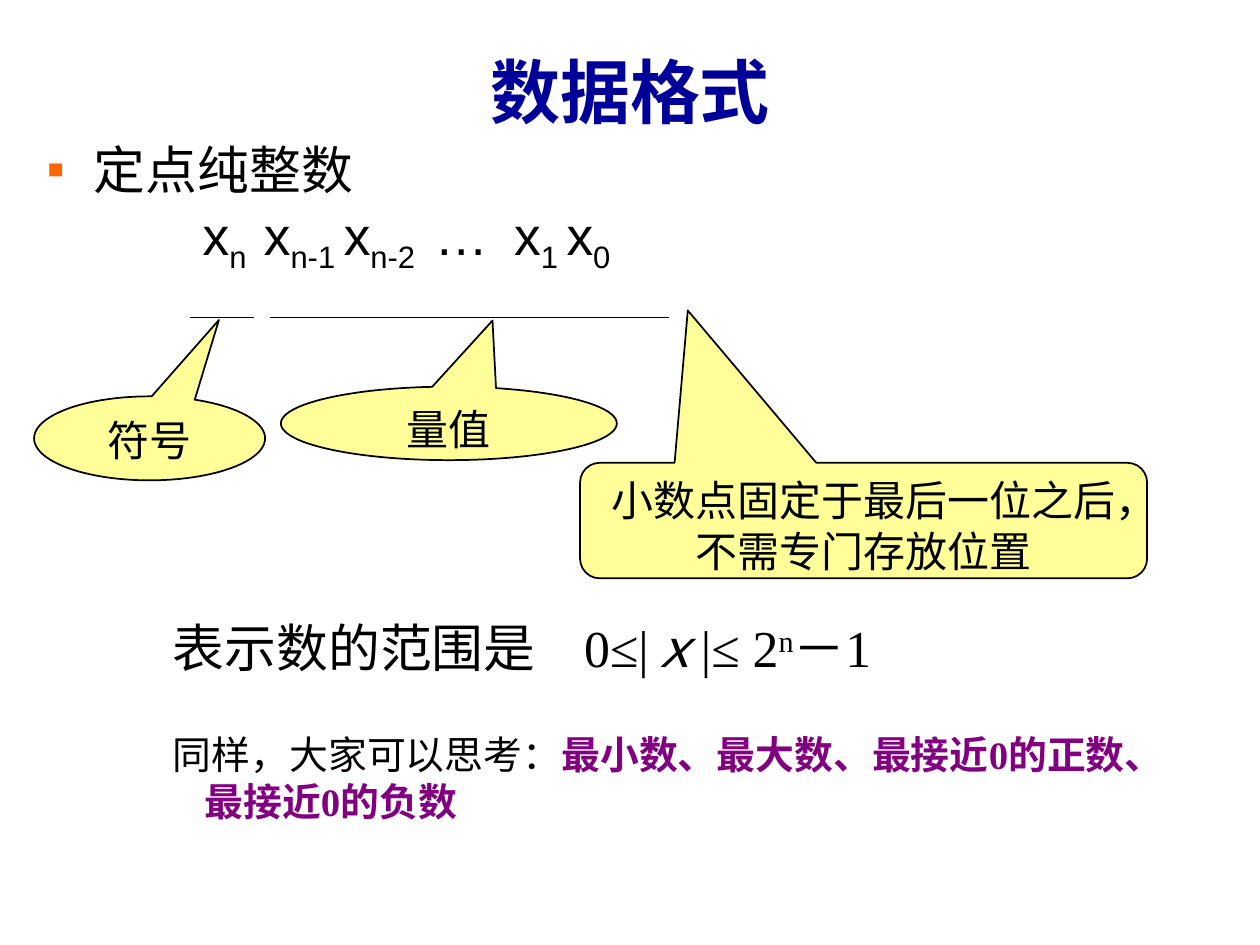
"""Build the slide on the fixed-point pure integer data format."""
from lxml.etree import SubElement
from pptx import Presentation
from pptx.dml.color import RGBColor
from pptx.enum.shapes import MSO_CONNECTOR as LINK, MSO_SHAPE as SHAPE
from pptx.enum.text import MSO_ANCHOR as ANCHOR, PP_ALIGN as ALIGN
from pptx.oxml.ns import qn
from pptx.util import Pt

BLACK = RGBColor(0, 0, 0)
NAVY = RGBColor(0, 0, 0x99)
PURPLE = RGBColor(0x80, 0, 0x80)
YELLOW = RGBColor(0xFF, 0xFF, 0x99)
ORANGE = "FF6600"
SERIF = "Times New Roman"


def add_box(left, top, width, height):
    frame = slide.shapes.add_textbox(Pt(left), Pt(top), Pt(width), Pt(height)).text_frame
    frame.word_wrap = True
    frame.margin_left = frame.margin_right = 0
    frame.margin_top = frame.margin_bottom = 0
    return frame


def style(para, size, name=SERIF, color=BLACK, tabs=()):
    props = para._p.get_or_add_pPr()
    if tabs:
        stops = SubElement(props, qn("a:tabLst"))
        for stop in tabs:
            SubElement(stops, qn("a:tab"), pos=str(Pt(stop)), algn="l")
    para.font.size = Pt(size)
    para.font.name = name
    para.font.color.rgb = color


deck = Presentation()
deck.slide_width, deck.slide_height = Pt(720), Pt(540)
slide = deck.slides.add_slide(deck.slide_layouts[6])

title = add_box(24, 20, 672, 63)
title.vertical_anchor = ANCHOR.MIDDLE
para = title.paragraphs[0]
para.text = "数据格式"
para.alignment = ALIGN.CENTER
style(para, 40, color=NAVY)
para.font.bold = True

para = add_box(26.6, 78.5, 660, 36).paragraphs[0]
para.text = "定点纯整数"
props = para._p.get_or_add_pPr()
props.set("marL", str(Pt(27)))
props.set("indent", str(Pt(-27)))
SubElement(SubElement(props, qn("a:buClr")), qn("a:srgbClr"), val=ORANGE)
SubElement(props, qn("a:buFont"), typeface="Arial")
SubElement(props, qn("a:buChar"), char="▪")
style(para, 29.6)

para = add_box(115.8, 115.3, 300, 40).paragraphs[0]
style(para, 30.5, "Arial", tabs=(35, 132.5, 178))
for base, sub in (("x", "n\t"), ("x", "n-1 "), ("x", "n-2\t"), ("…\tx", "1 "), ("x", "0")):
    para.add_run().text = base
    run = para.add_run()
    run.text = sub
    run.font._element.set("baseline", "-25000")

notes = add_box(98.8, 352, 588, 125)
para = notes.paragraphs[0]
style(para, 29.6, tabs=(235,))
for text, slant, rise in (
    ("表示数的范围是\t0≤|", False, 0),
    ("ｘ", True, 0),
    ("|", False, 0),
    ("≤ ", True, 0),
    ("2", False, 0),
    ("n", False, 30000),
    ("－1", False, 0),
):
    run = para.add_run()
    run.text = text
    run.font.italic = slant
    if rise:
        run.font._element.set("baseline", str(rise))

para = notes.add_paragraph()
para.space_before = Pt(30)
props = para._p.get_or_add_pPr()
props.set("marL", str(Pt(18)))
props.set("indent", str(Pt(-18)))
style(para, 22.2)
para.add_run().text = "同样，大家可以思考："
run = para.add_run()
run.text = "最小数、最大数、最接近0的正数、最接近0的负数"
run.font.bold = True
run.font.color.rgb = PURPLE

for start, end in ((108.5, 145), (154.5, 382.5)):
    line = slide.shapes.add_connector(LINK.STRAIGHT, Pt(start), Pt(181.5), Pt(end), Pt(181.5))
    line.line.color.rgb = BLACK
    line.line.width = Pt(1)
    SubElement(line._element.spPr, qn("a:effectLst"))

OVAL, ROUND = SHAPE.OVAL_CALLOUT, SHAPE.ROUNDED_RECTANGULAR_CALLOUT
for kind, area, tip, text in (
    (OVAL, (19.5, 226.5, 132, 48), (0.3, -1.41), "符号"),
    (OVAL, (160.5, 221, 192, 42), (0.13, -1.4), "量值"),
    (ROUND, (331.5, 264.5, 324, 66), (-0.31, -1.82, 0.17), "小数点固定于最后一位之后，不需专门存放位置"),
):
    note = slide.shapes.add_shape(kind, *map(Pt, area))
    for spot, value in enumerate(tip):
        note.adjustments[spot] = value
    note.shadow.inherit = False
    note.fill.solid()
    note.fill.fore_color.rgb = YELLOW
    note.line.color.rgb = BLACK
    note.line.width = Pt(1)
    frame = note.text_frame
    frame.word_wrap = True
    frame.vertical_anchor = ANCHOR.TOP
    para = frame.paragraphs[0]
    para.text = text
    para.alignment = ALIGN.CENTER
    style(para, 24)

deck.save("out.pptx")
